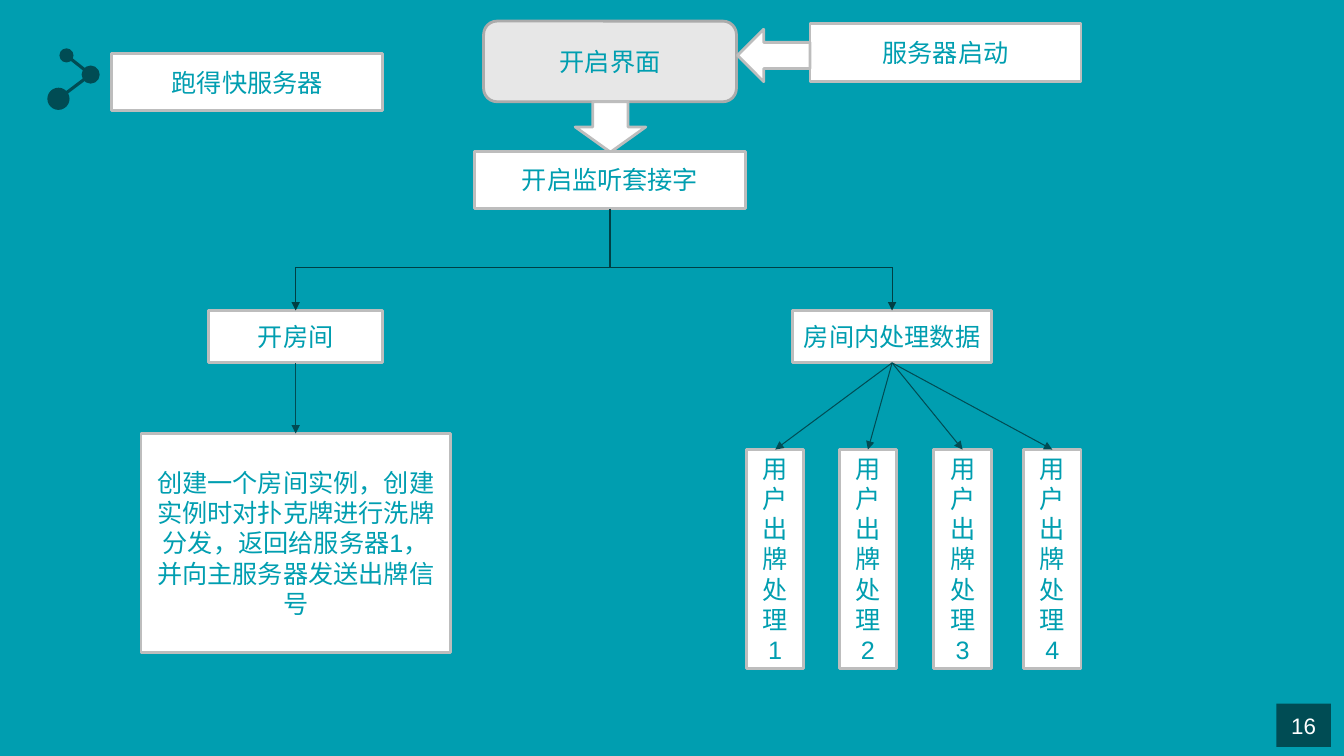
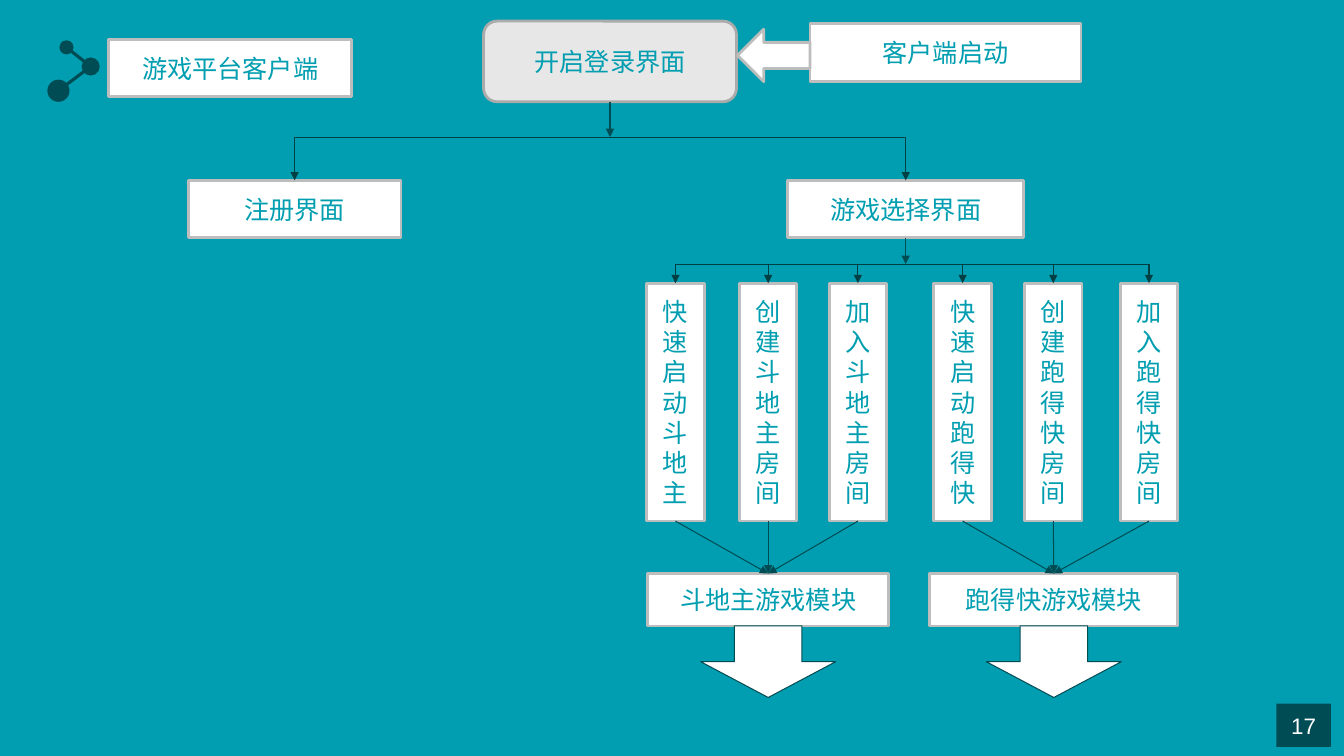
from lxml.etree import SubElement
from pptx import Presentation
from pptx.dml.color import RGBColor
from pptx.enum.shapes import MSO_CONNECTOR as Connector, MSO_SHAPE as Shape
from pptx.enum.text import MSO_ANCHOR as Anchor, PP_ALIGN as Align
from pptx.oxml.ns import qn
from pptx.util import Inches, Pt

COLORS = {
    "background": "009EB0",
    "text": "009EB0",
    "white": "FFFFFF",
    "border": "BDBDBD",
    "screen": "E7E7E7",
    "screen_border": "ABABAB",
    "dark": "004C54",
    "branch": "003F44",
}
FONT = "Arial"
TOP, BOTTOM = 0, 2


def color(name):
    """Return the palette colour with this name."""
    return RGBColor.from_string(COLORS[name])


def add_block(shapes, kind, place, fill="white", border="border", weight=2):
    """Add a filled preset shape at (left, top, width, height) in inches."""
    shape = shapes.add_shape(kind, *map(Inches, place))
    shape.shadow.inherit = False
    shape.fill.solid()
    shape.fill.fore_color.rgb = color(fill)
    if border:
        shape.line.color.rgb = color(border)
        shape.line.width = Pt(weight)
    else:
        shape.line.fill.background()
    return shape


def write(shape, text, size=18, ink="text"):
    """Put one centred line of text in a shape."""
    frame = shape.text_frame
    frame.word_wrap = True
    frame.vertical_anchor = Anchor.MIDDLE
    paragraph = frame.paragraphs[0]
    paragraph.alignment = Align.CENTER
    run = paragraph.add_run()
    run.text = text
    run.font.name = FONT
    run.font.size = Pt(size)
    run.font.color.rgb = color(ink)


def add_box(slide, text, *place):
    """Add a white flowchart box with its label."""
    box = add_block(slide.shapes, Shape.RECTANGLE, place)
    write(box, text)
    return box


def add_line(shapes, start, end, ink="dark", weight=0.75, arrow=False):
    """Add a straight connector between two points given as lengths."""
    line = shapes.add_connector(Connector.STRAIGHT, *start, *end)
    line.line.color.rgb = color(ink)
    line.line.width = Pt(weight)
    if arrow:
        SubElement(line.line._get_or_add_ln(), qn("a:tailEnd"), type="triangle")
    SubElement(line._element.spPr, qn("a:effectLst"))
    return line


def link(slide, source, target):
    """Join the bottom of one box to the top of another with an arrow."""
    line = add_line(slide.shapes, (0, 0), (0, 0), arrow=True)
    line.begin_connect(source, BOTTOM)
    line.end_connect(target, TOP)


def center(shape):
    """Return the horizontal centre of a shape."""
    return shape.left + shape.width // 2


def add_branch(slide, parent, children, level, trunk_ink="dark", trunk_arrow=True):
    """Draw a trunk, a crossbar at the given level and a drop to each child."""
    shapes, level = slide.shapes, Inches(level)
    middle = center(parent)
    add_line(shapes, (middle, parent.top + parent.height), (middle, level),
             trunk_ink, arrow=trunk_arrow)
    ends = [center(child) for child in children]
    add_line(shapes, (min(ends), level), (max(ends), level), "branch")
    for child, end in zip(children, ends):
        add_line(shapes, (end, level), (end, child.top), "branch", arrow=True)


def add_icon(slide, top):
    """Draw the three linked dots beside the title."""
    shapes = slide.shapes.add_group_shape().shapes
    dots = [(0.66, top + 0.07, 0.07), (0.9, top + 0.26, 0.09), (0.58, top + 0.5, 0.11)]
    for x, y, radius in dots:
        place = (x - radius, y - radius, 2 * radius, 2 * radius)
        add_block(shapes, Shape.OVAL, place, "dark", None)
    for start, end in zip(dots, dots[1:]):
        add_line(shapes, map(Inches, start[:2]), map(Inches, end[:2]), weight=2.25)


def start_slide(presentation, number, title, title_place, icon_top, start, screen):
    """Add a slide with its title, number and opening step; return the screen box."""
    slide = presentation.slides.add_slide(presentation.slide_layouts[6])
    badge = add_block(slide.shapes, Shape.RECTANGLE, (12.67, 6.98, 0.54, 0.43), "dark", None)
    badge.text_frame.margin_left = badge.text_frame.margin_right = 0
    write(badge, number, 16, "white")
    add_icon(slide, icon_top)
    add_box(slide, title, *title_place)
    add_box(slide, start, 8.04, 0.23, 2.69, 0.58)
    screen_box = add_block(slide.shapes, Shape.ROUNDED_RECTANGLE, (4.8, 0.21, 2.51, 0.8),
                           "screen", "screen_border")
    write(screen_box, screen)
    add_block(slide.shapes, Shape.LEFT_ARROW, (7.32, 0.29, 0.72, 0.52))
    return slide, screen_box


def build_server(presentation):
    """Build the server flowchart."""
    slide, _ = start_slide(presentation, "16", "跑得快服务器", (1.11, 0.53, 2.69, 0.57),
                           0.48, "服务器启动", "开启界面")
    add_block(slide.shapes, Shape.DOWN_ARROW, (5.71, 1.01, 0.7, 0.5))
    listener = add_box(slide, "开启监听套接字", 4.71, 1.5, 2.69, 0.57)
    room = add_box(slide, "开房间", 2.07, 3.08, 1.73, 0.52)
    data = add_box(slide, "房间内处理数据", 7.87, 3.08, 1.97, 0.52)
    add_branch(slide, listener, [room, data], 2.65, "branch", False)
    instance = add_box(
        slide,
        "创建一个房间实例，创建实例时对扑克牌进行洗牌分发，返回给服务器1，并向主服务器发送出牌信号",
        1.4, 4.3, 3.07, 2.17)
    link(slide, room, instance)
    for player, left in enumerate((7.41, 8.33, 9.27, 10.16), 1):
        link(slide, data, add_box(slide, f"用户出牌处理{player}", left, 4.46, 0.57, 2.17))


def build_client(presentation):
    """Build the client flowchart."""
    slide, login = start_slide(presentation, "17", "游戏平台客户端", (1.08, 0.39, 2.41, 0.57),
                               0.4, "客户端启动", "开启登录界面")
    register = add_box(slide, "注册界面", 1.87, 1.79, 2.11, 0.57)
    choice = add_box(slide, "游戏选择界面", 7.82, 1.79, 2.34, 0.57)
    add_branch(slide, login, [register, choice], 1.36)
    games = [
        ("斗地主", (6.43, 2.39), (6.42, 7.34, 8.23)),
        ("跑得快", (9.23, 2.46), (9.27, 10.17, 11.12)),
    ]
    options = []
    for game, (left, width), option_lefts in games:
        module = add_box(slide, f"{game}游戏模块", left, 5.69, width, 0.52)
        labels = (f"快速启动{game}", f"创建{game}房间", f"加入{game}房间")
        for label, option_left in zip(labels, option_lefts):
            option = add_box(slide, label, option_left, 2.81, 0.57, 2.36)
            link(slide, option, module)
            options.append(option)
        add_block(slide.shapes, Shape.DOWN_ARROW, (left + width / 2 - 0.67, 6.21, 1.34, 0.71),
                  border="dark", weight=0.75)
    add_branch(slide, choice, options, 2.62)


def main():
    """Build and save the presentation."""
    presentation = Presentation()
    presentation.slide_width = Inches(13.34)
    presentation.slide_height = Inches(7.5)
    background = presentation.slide_master.background.fill
    background.solid()
    background.fore_color.rgb = color("background")
    build_server(presentation)
    build_client(presentation)
    presentation.save("out.pptx")


if __name__ == "__main__":
    main()
